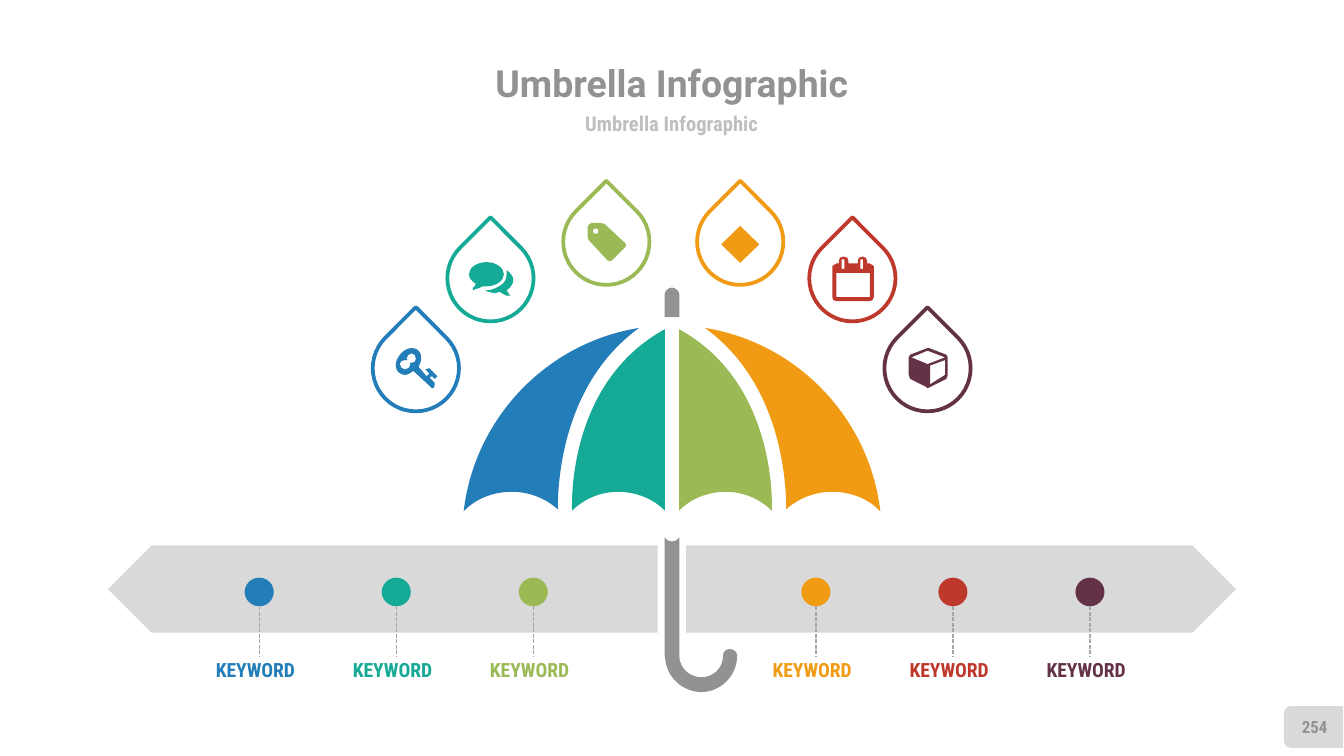
from dataclasses import dataclass

from lxml import etree
from pptx import Presentation
from pptx.dml.color import RGBColor
from pptx.enum.dml import MSO_LINE
from pptx.enum.shapes import MSO_CONNECTOR, MSO_SHAPE
from pptx.enum.text import MSO_ANCHOR, PP_ALIGN
from pptx.oxml.ns import qn
from pptx.shapes.autoshape import Shape
from pptx.slide import Slide
from pptx.util import Cm, Pt

DASHED = MSO_LINE.SQUARE_DOT
STRAIGHT = MSO_CONNECTOR.STRAIGHT
TEARDROP = MSO_SHAPE.TEAR
ARROW = MSO_SHAPE.PENTAGON
OVAL = MSO_SHAPE.OVAL
DIAMOND = MSO_SHAPE.DIAMOND
TAB = MSO_SHAPE.ROUND_2_SAME_RECTANGLE
MIDDLE = MSO_ANCHOR.MIDDLE
CENTER = PP_ALIGN.CENTER

COLORS = {
    "blue": "237DB9", "teal": "15AA96", "green": "9BB955",
    "orange": "F19B14", "red": "BE382C", "plum": "633247",
    "gray": "929292", "silver": "BFBFBF", "band": "D9D9D9", "dash": "A6A6A6",
}
HEADING_FONT = "Roboto"
LABEL_FONT = "Roboto Condensed"
OUTLINE_UNIT = Cm(2.54) / 100
CENTER_X = 12.7
DROP_SIZE = 1.63
DOT_WIDTH, DOT_HEIGHT = 0.55, 0.54
KEYWORD_STEP = 2.59

OUTER_PANEL = ("M 119 366 C 106 366 94 371 85 379 C 85 357 81 285 24.5 244 "
               "C 93 255 147 311 155 380.5 C 146 371 133 366 119 366")
INNER_PANEL = ("M 40 366 C 27 366 14 371 5.3 380 L 5.3 245 "
               "C 71 281 75 359 74.3 380 C 65 371 53 366 40 366")
HANDLE = ("M 0 403 C -2 403 -4 402 -5.5 400 L -5.5 488 L -5 490 "
          "C -4 504 8 515 22 515 C 36 515 48.5 503 48.5 488 C 48.5 485 46 483 43 483 "
          "C 40 483 38 485 38 488 C 38 497 31 504 22 504 C 13 504 5.5 497 5.5 488 "
          "L 5.5 400 C 4 402 2 403 0 403")
TIP = "M 5.5 236 L 5.5 219 C 5.5 217 3 214 0 214 C -3 214 -5.5 217 -5.5 219 L -5.5 236"

KEY = ("M 14 8 L 12 6 L 10 7 L 14 11 C 14 12 14 12 14 13 C 14 14 13 15 12 15 "
       "L 11 14 L -2 2 C -3 3 -6 5 -8 5 C -12 5 -15 2 -15 -2 "
       "C -15 -8 -9 -15 -3 -15 C 1 -15 4 -12 4 -8 C 4 -5 3 -3 2 -1 L 8 6 L 10 4 "
       "L 7 1 L 10 0 L 16 6 "
       "M -3 -11 C -5 -11 -7 -9 -7 -7 L -6 -6 L -8 -6 "
       "C -10 -6 -12 -5 -12 -3 C -12 -1 -10 1 -8 1 C -6 1 -4 -1 -4 -3 "
       "L -5 -4 L -3 -4 C -1 -4 0 -5 0 -7 C 0 -9 -1 -11 -3 -11")
CHAT = ("M -3 6 L -6 6 C -8 7 -9 8 -11 8 L -13 9 "
        "L -13 7 C -12 6 -11 6 -11 4 "
        "C -14 2 -16 0 -16 -3 C -16 -8 -10 -12 -3 -12 C 4 -12 10 -8 10 -3 C 10 2 4 6 -3 6 "
        "M 12 9 L 14 12 L 15 13 L 12 13 "
        "C 11 12 9 12 7 10 C 6 11 6 11 4 11 C 1 11 -2 10 -4 9 L -3 9 "
        "C 1 9 5 7 8 5 C 11 3 12 0 12 -3 L 12 -6 "
        "C 15 -4 17 -1 17 1 C 17 4 15 7 12 9")
TAG = ("M 14 4 L 4 14 C 4 14 2 15 1 14 L -12 0 C -13 -1 -14 -2 -14 -4 L -14 -11 "
       "C -14 -12 -12 -14 -11 -14 L -4 -14 C -2 -14 -1 -13 0 -12 L 14 1 C 15 2 15 3 14 4 "
       "M -8 -10 C -9 -10 -10 -9 -10 -8 C -10 -6 -9 -6 -8 -6 C -6 -6 -6 -6 -6 -8 "
       "C -6 -9 -6 -10 -8 -10")
CALENDAR = ("M 16 14 C 16 16 14 17 13 17 L -12 17 C -14 17 -15 16 -15 14 L -15 -9 "
            "L -12 -11 L -10 -11 L -10 -13 C -10 -15 -9 -16 -7 -16 L -6 -16 "
            "C -4 -16 -3 -15 -3 -13 L -3 -11 L 4 -11 L 4 -13 C 4 -15 5 -16 7 -16 L 8 -16 "
            "C 9 -16 11 -15 11 -13 L 11 -11 L 13 -11 L 16 -9 "
            "M 13 14 L 13 -4 L -12 -4 L -12 14 "
            "M -6 -14 L -8 -14 L -8 -7 L -6 -7 M 8 -14 L 6 -14 L 6 -7 L 8 -7")
CUBE = ("M 15 5 L 14 8 L 2 14 L 0 15 L -1 14 L -13 8 "
        "L -14 5 L -14 -8 L -13 -10 L 0 -15 L 1 -15 L 14 -10 "
        "L 15 -8 M 13 -8 L 0 -13 L -12 -8 L 0 -3 M 13 5 L 13 -6 L 2 -2 L 2 12")


@dataclass
class Drop:
    color: str
    x: float
    y: float
    icon: str = ""


@dataclass
class Keyword:
    color: str
    x: float


@dataclass
class Label:
    text: str
    left: float
    top: float
    width: float
    height: float
    size: float
    color: str
    font: str = LABEL_FONT


DROPS = [
    Drop("blue", 7.86, 6.96, KEY), Drop("teal", 9.27, 5.26, CHAT),
    Drop("green", 11.46, 4.57, TAG), Drop("orange", 13.99, 4.57),
    Drop("red", 16.11, 5.26, CALENDAR), Drop("plum", 17.53, 6.96, CUBE),
]
KEYWORDS = [
    Keyword(color, start + index * KEYWORD_STEP)
    for start, colors in ((4.9, ("blue", "teal", "green")), (15.42, ("orange", "red", "plum")))
    for index, color in enumerate(colors)
]
LABELS = [
    Label("Umbrella Infographic", 4.87, 1.07, 15.66, 0.99, 20, "gray", HEADING_FONT),
    Label("Umbrella Infographic", 6.98, 2.06, 11.43, 0.56, 11, "silver"),
    Label("254", 24.31, 13.36, 1.07, 0.76, 9, "gray"),
]


def rgb(color: str) -> RGBColor:
    return RGBColor.from_string(COLORS[color])


def paint(shape: Shape, color: str) -> None:
    shape.shadow.inherit = False
    shape.fill.solid()
    shape.fill.fore_color.rgb = rgb(color)
    shape.line.fill.background()


def add_filled(page: Slide, kind: MSO_SHAPE, x: float, y: float,
               width: float, height: float, color: str, turn: float = 0) -> None:
    shape = page.shapes.add_shape(kind, Cm(x), Cm(y), Cm(width), Cm(height))
    shape.rotation = turn
    paint(shape, color)


def bend(shape: Shape, commands: list[str]) -> None:
    segments = iter(list(shape._element.iter(qn("a:lnTo"))))
    for command in commands:
        segment = next(segments)
        if command == "C":
            curve = etree.Element(qn("a:cubicBezTo"))
            segment.addprevious(curve)
            for corner in (segment, next(segments), next(segments)):
                curve.append(corner[0])
                corner.getparent().remove(corner)


def add_outline(page: Slide, outline: str, x: float, y: float, color: str, side: int = 1) -> None:
    contours, commands = [], []
    for contour in outline.split("M")[1:]:
        tokens = contour.split()
        commands += [token for token in tokens if token.isalpha()]
        numbers = [float(token) for token in tokens if not token.isalpha()]
        contours.append([(Cm(x) + side * px * OUTLINE_UNIT, Cm(y) + py * OUTLINE_UNIT)
                         for px, py in zip(numbers[::2], numbers[1::2])])
    builder = page.shapes.build_freeform(*contours[0][0])
    for index, points in enumerate(contours):
        if index:
            builder.move_to(*points[0])
        builder.add_line_segments(points[1:], close=True)
    shape = builder.convert_to_shape()
    bend(shape, commands)
    paint(shape, color)


def add_label(page: Slide, label: Label) -> None:
    box = page.shapes.add_textbox(Cm(label.left), Cm(label.top), Cm(label.width), Cm(label.height))
    frame = box.text_frame
    frame.word_wrap = False
    frame.vertical_anchor = MIDDLE
    frame.margin_left = frame.margin_right = frame.margin_top = frame.margin_bottom = Cm(0)
    para = frame.paragraphs[0]
    para.alignment = CENTER
    span = para.add_run()
    span.text = label.text
    span.font.size = Pt(label.size)
    span.font.name = label.font
    span.font.bold = True
    span.font.color.rgb = rgb(label.color)


def add_drop(page: Slide, drop: Drop) -> None:
    shape = page.shapes.add_shape(TEARDROP, Cm(drop.x - DROP_SIZE / 2), Cm(drop.y - DROP_SIZE / 2),
                                  Cm(DROP_SIZE), Cm(DROP_SIZE))
    shape.rotation = 315
    shape.shadow.inherit = False
    shape.fill.background()
    shape.line.color.rgb = rgb(drop.color)
    shape.line.width = Pt(2)
    if drop.icon:
        add_outline(page, drop.icon, drop.x, drop.y, drop.color)
    else:
        add_filled(page, DIAMOND, drop.x - 0.36, drop.y - 0.3, 0.72, 0.7, drop.color)


def add_keyword(page: Slide, keyword: Keyword) -> None:
    add_filled(page, OVAL, keyword.x - DOT_WIDTH / 2, 10.92, DOT_WIDTH, DOT_HEIGHT, keyword.color)
    add_label(page, Label("KEYWORD", keyword.x - 0.83, 12.42, 1.52, 0.46, 10.5, keyword.color))
    line = page.shapes.add_connector(STRAIGHT, Cm(keyword.x), Cm(11.46), Cm(keyword.x), Cm(12.4))
    line.line.color.rgb = rgb("dash")
    line.line.width = Pt(0.75)
    line.line.dash_style = DASHED
    etree.SubElement(line._element.spPr, qn("a:effectLst"))


def main() -> None:
    deck = Presentation()
    deck.slide_width, deck.slide_height = Cm(25.4), Cm(14.29)
    page = deck.slides.add_slide(deck.slide_layouts[6])
    add_filled(page, TAB, 24.43, 13.18, 0.79, 1.12, "band", 270)
    for label in LABELS:
        add_label(page, label)
    for outline, color, side in ((OUTER_PANEL, "blue", -1), (INNER_PANEL, "teal", -1),
                                 (INNER_PANEL, "green", 1), (OUTER_PANEL, "orange", 1),
                                 (HANDLE, "gray", 1), (TIP, "gray", 1)):
        add_outline(page, outline, CENTER_X, 0, color, side)
    for left, turn in ((12.97, 0), (2.04, 180)):
        add_filled(page, ARROW, left, 10.31, 10.39, 1.65, "band", turn)
    for drop in DROPS:
        add_drop(page, drop)
    for keyword in KEYWORDS:
        add_keyword(page, keyword)
    deck.save("out.pptx")


if __name__ == "__main__":
    main()
